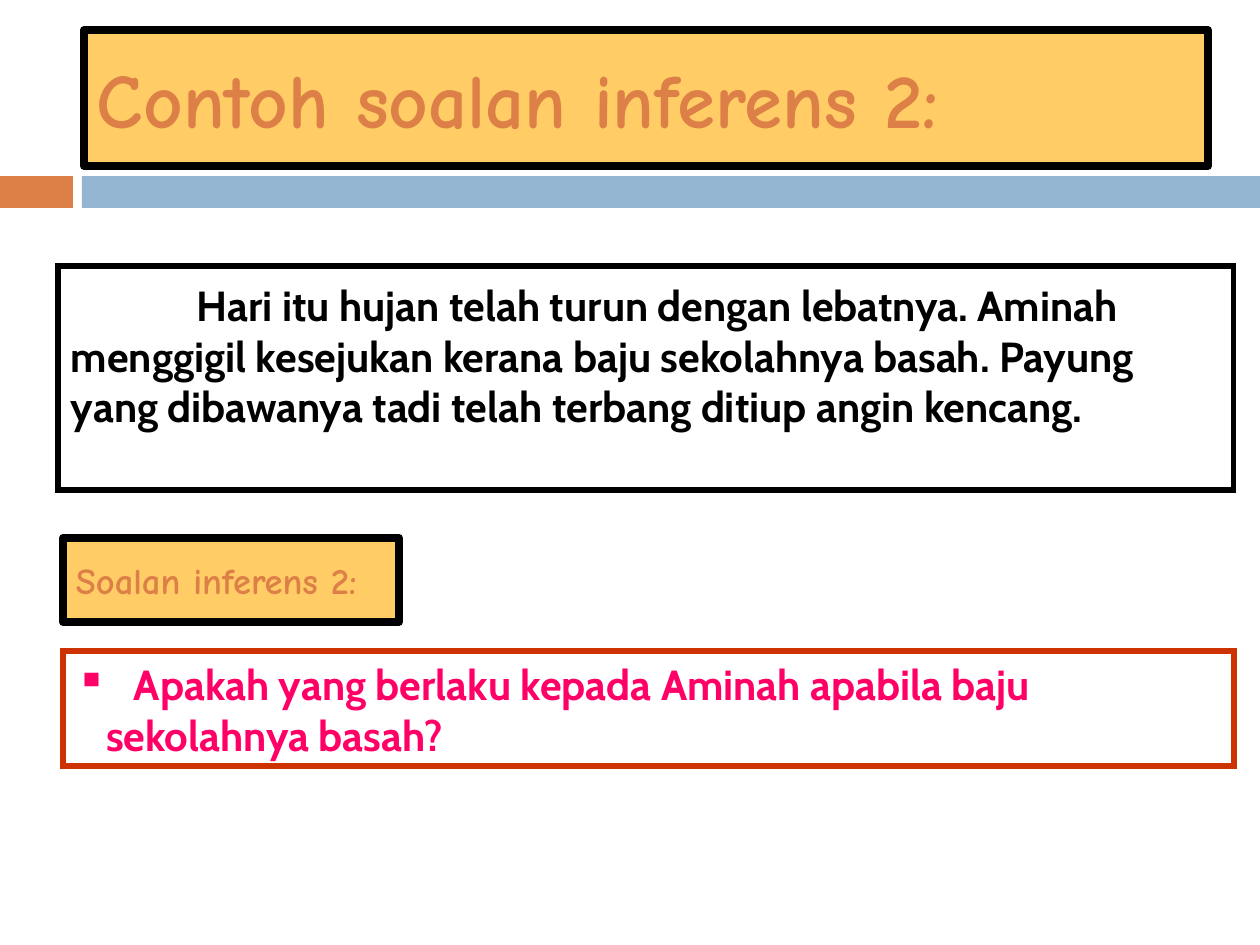
from dataclasses import dataclass

from lxml import etree
from pptx import Presentation
from pptx.dml.color import RGBColor
from pptx.enum.shapes import MSO_SHAPE
from pptx.enum.text import MSO_ANCHOR, PP_ALIGN
from pptx.oxml.ns import qn
from pptx.util import Emu, Pt

RECTANGLE = MSO_SHAPE.RECTANGLE
TOP, MIDDLE = MSO_ANCHOR.TOP, MSO_ANCHOR.MIDDLE
LEFT = PP_ALIGN.LEFT
EMU_PER_PX = 914400 // 126


def px(length):
    return Emu(length * EMU_PER_PX)


@dataclass(frozen=True)
class Theme:
    accent: str = "DD8047"
    band: str = "94B6D2"
    label_fill: str = "FFCC66"
    ink: str = "000000"
    question_line: str = "CC3300"
    question_text: str = "FF0066"
    label_font: str = "Comic Neue"
    body_font: str = "Cabin"
    title_size: float = 44
    label_size: float = 20.9
    body_size: float = 24
    label_border: float = 4.5
    body_border: float = 3


class SlideBuilder:
    def __init__(self, slide, theme):
        self.slide = slide
        self.theme = theme

    def rectangle(self, box, fill=None, line=None, width=0):
        shape = self.slide.shapes.add_shape(RECTANGLE, *map(px, box))
        shape.shadow.inherit = False
        if fill:
            shape.fill.solid()
            shape.fill.fore_color.rgb = RGBColor.from_string(fill)
        else:
            shape.fill.background()
        if line:
            shape.line.color.rgb = RGBColor.from_string(line)
            shape.line.width = Pt(width)
        else:
            shape.line.fill.background()
        return shape

    def set_text(self, shape, text, font, size, color, anchor, top_inset=6):
        frame = shape.text_frame
        frame.word_wrap = True
        frame.vertical_anchor = anchor
        frame.margin_left = frame.margin_right = px(13)
        frame.margin_top, frame.margin_bottom = px(top_inset), px(6)
        paragraph = frame.paragraphs[0]
        paragraph.text = text
        paragraph.alignment = LEFT
        paragraph.font.name = font
        paragraph.font.size = Pt(size)
        paragraph.font.bold = True
        paragraph.font.color.rgb = RGBColor.from_string(color)
        return paragraph

    def label(self, box, text, size):
        theme = self.theme
        shape = self.rectangle(box, theme.label_fill, theme.ink, theme.label_border)
        self.set_text(shape, text, theme.label_font, size, theme.accent, MIDDLE)

    def body(self, box, text, line, color, top_inset):
        """Add an outlined, sharp-cornered box and return its paragraph."""
        theme = self.theme
        shape = self.rectangle(box, line=line, width=theme.body_border)
        outline = shape.element.spPr.find(qn("a:ln"))
        etree.SubElement(outline, qn("a:miter"), lim="800000")
        return self.set_text(shape, text, theme.body_font, theme.body_size,
                             color, TOP, top_inset)

    def passage(self, box, text):
        paragraph = self.body(box, text, self.theme.ink, self.theme.ink, 14)
        self.indent(paragraph, 0, 126)

    def question(self, box, text):
        """Add a bulleted question whose first line starts at a tab stop."""
        theme = self.theme
        paragraph = self.body(box, "\t" + text, theme.question_line,
                              theme.question_text, 8)
        properties = self.indent(paragraph, 30, -30)
        etree.SubElement(properties, qn("a:buChar"), char="▪")
        tabs = etree.SubElement(properties, qn("a:tabLst"))
        etree.SubElement(tabs, qn("a:tab"), pos=str(px(58)), algn="l")
        properties.append(properties.find(qn("a:defRPr")))

    def indent(self, paragraph, margin, first_line):
        properties = paragraph._p.get_or_add_pPr()
        properties.set("marL", str(px(margin)))
        properties.set("indent", str(px(first_line)))
        return properties


def main():
    presentation = Presentation()
    presentation.slide_width, presentation.slide_height = px(1260), px(945)
    slide = presentation.slides.add_slide(presentation.slide_layouts[6])
    theme = Theme()
    builder = SlideBuilder(slide, theme)

    builder.rectangle((0, 176, 73, 32), theme.accent)
    builder.rectangle((82, 176, 1178, 32), theme.band)
    builder.passage(
        (58, 266, 1176, 224),
        "Hari itu hujan telah turun dengan lebatnya. Aminah menggigil "
        "kesejukan kerana baju sekolahnya basah. Payung yang dibawanya "
        "tadi telah terbang ditiup angin kencang.")
    builder.label((84, 30, 1124, 136), "Contoh soalan inferens 2:", theme.title_size)
    builder.question(
        (63, 651, 1171, 115),
        "Apakah yang berlaku kepada Aminah apabila baju sekolahnya basah?")
    builder.label((63, 538, 336, 84), "Soalan inferens 2:", theme.label_size)

    presentation.save("out.pptx")


if __name__ == "__main__":
    main()
